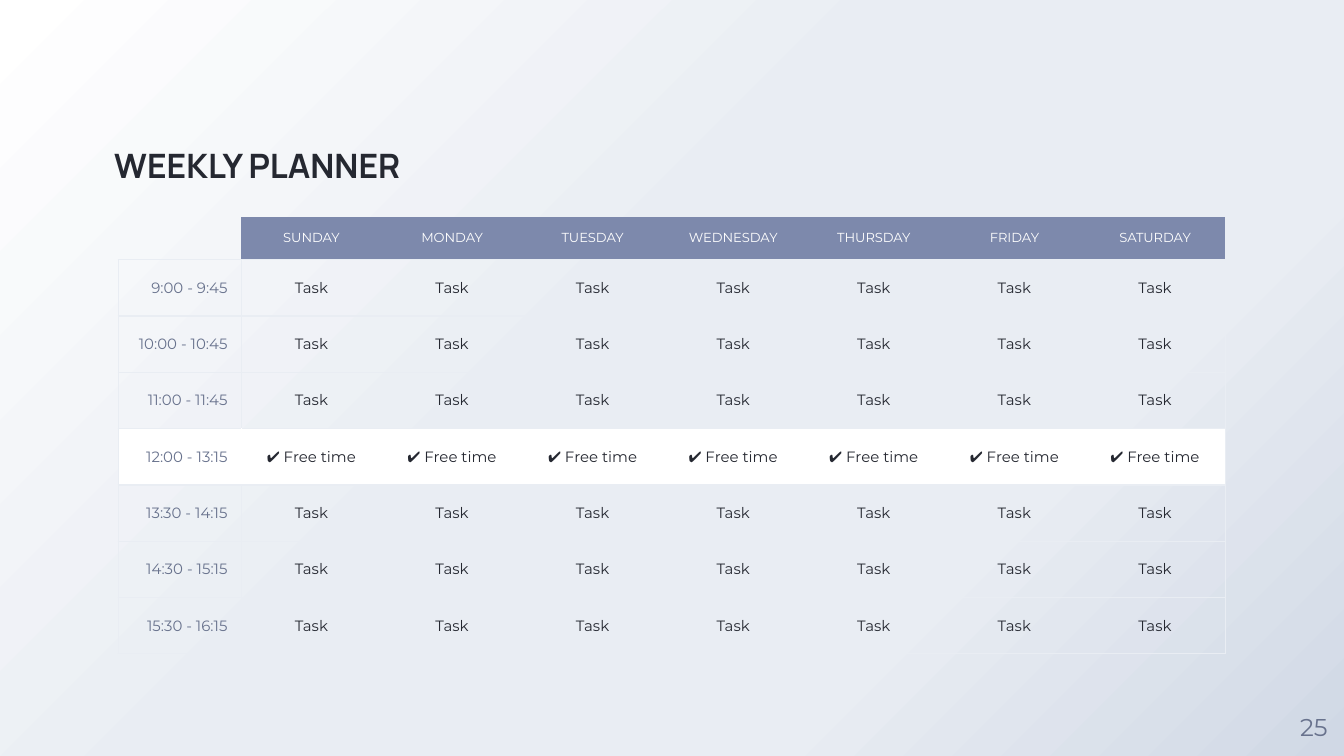
from lxml import etree
from pptx import Presentation
from pptx.dml.color import RGBColor
from pptx.enum.text import MSO_ANCHOR, MSO_AUTO_SIZE, PP_ALIGN
from pptx.oxml import parse_xml
from pptx.oxml.ns import qn
from pptx.util import Pt

LEFT, CENTER, RIGHT = PP_ALIGN.LEFT, PP_ALIGN.CENTER, PP_ALIGN.RIGHT
MIDDLE, BOTTOM = MSO_ANCHOR.MIDDLE, MSO_ANCHOR.BOTTOM
NO_AUTOFIT = MSO_AUTO_SIZE.NONE
NAMESPACE = "http://schemas.openxmlformats.org/drawingml/2006/main"

FREE_ACTIVITY = "✔ Free time"
DAYS = ["SUNDAY", "MONDAY", "TUESDAY", "WEDNESDAY", "THURSDAY", "FRIDAY", "SATURDAY"]
SCHEDULE = [
    ("9:00 - 9:45", "Task"),
    ("10:00 - 10:45", "Task"),
    ("11:00 - 11:45", "Task"),
    ("12:00 - 13:15", FREE_ACTIVITY),
    ("13:30 - 14:15", "Task"),
    ("14:30 - 15:15", "Task"),
    ("15:30 - 16:15", "Task"),
]


def color(value):
    return RGBColor.from_string(value)


class Planner:
    heading_font = "Manrope"
    body_font = "Montserrat"
    dark = "252831"
    muted = "68728D"
    header = "7D89AC"
    border = "E9EDF3"
    white = "FFFFFF"
    cell_margin = 7.2

    def __init__(self, slide):
        self.slide = slide

    def background(self, stops):
        stop_xml = "".join(
            f'<a:gs pos="{percent * 1000}"><a:srgbClr val="{value}"/></a:gs>'
            for percent, value in stops
        )
        fill = self.slide.background.fill
        fill.gradient()
        gradient = self.slide._element.find(".//" + qn("a:gradFill"))
        gradient.getparent().replace(gradient, parse_xml(
            f'<a:gradFill xmlns:a="{NAMESPACE}" rotWithShape="1"><a:gsLst>{stop_xml}</a:gsLst>'
            '<a:lin ang="2700000" scaled="0"/></a:gradFill>'
        ))

    def add_text(self, text_frame, text, size, font, value, alignment, bold=False):
        paragraph = text_frame.paragraphs[0]
        paragraph.alignment = alignment
        run = paragraph.add_run()
        run.text = text
        run.font.size = Pt(size)
        run.font.name = font
        run.font.bold = bold
        run.font.color.rgb = color(value)

    def frame(self, shape, anchor):
        text_frame = shape.text_frame
        text_frame.word_wrap = True
        text_frame.auto_size = NO_AUTOFIT
        text_frame.vertical_anchor = anchor
        text_frame.margin_left = text_frame.margin_right = 0
        text_frame.margin_top = text_frame.margin_bottom = 0
        return text_frame

    def title(self, text, left, top, width, height):
        shape = self.slide.shapes.title
        shape.left, shape.top = Pt(left), Pt(top)
        shape.width, shape.height = Pt(width), Pt(height)
        self.add_text(self.frame(shape, BOTTOM), text, 18, self.heading_font, self.dark, LEFT, True)

    def page_number(self, text, left, top, size):
        shape = self.slide.shapes.add_textbox(Pt(left), Pt(top), Pt(size), Pt(size))
        self.add_text(self.frame(shape, MIDDLE), text, 13, self.body_font, self.muted, CENTER)

    def table(self, rows, left, top, widths, heights):
        shape = self.slide.shapes.add_table(
            len(heights), len(widths), Pt(left), Pt(top), Pt(sum(widths)), Pt(sum(heights))
        )
        table = shape.table
        table.first_row = table.horz_banding = False
        for column, width in zip(table.columns, widths):
            column.width = Pt(width)
        for row, height in zip(table.rows, heights):
            row.height = Pt(height)
        for row_index, row in enumerate(rows):
            for column_index, text in enumerate(row):
                self.cell(table.cell(row_index, column_index), text, row_index == 0,
                          column_index, len(widths) - 1, FREE_ACTIVITY in row)

    def cell(self, cell, text, is_header, column, last_column, is_free):
        is_time = column == 0
        divider = self.white if is_free else self.border
        if is_header:
            borders = {"B": self.border}
        else:
            borders = {"T": self.border, "B": self.border}
            if is_time:
                borders.update(L=self.border, R=divider)
            elif column == 1:
                borders["L"] = divider
            elif column == last_column:
                borders["R"] = self.border
        self.borders(cell, borders)

        fill = self.header if is_header and not is_time else self.white if is_free else None
        if fill:
            cell.fill.solid()
            cell.fill.fore_color.rgb = color(fill)
        else:
            cell.fill.background()

        cell.vertical_anchor = MIDDLE
        cell.margin_left = cell.margin_right = Pt(self.cell_margin)
        cell.margin_top = cell.margin_bottom = Pt(self.cell_margin)
        value = self.white if is_header else self.muted if is_time else self.dark
        size = 7 if is_header else 8
        if text:
            self.add_text(cell.text_frame, text, size, self.body_font, value,
                          RIGHT if is_time else CENTER)
        else:
            cell.text_frame.paragraphs[0].font.size = Pt(size)

    def borders(self, cell, values):
        properties = cell._tc.get_or_add_tcPr()
        for side in "LRTB":
            line = etree.SubElement(properties, qn(f"a:ln{side}"), w=str(Pt(0.75)))
            if side in values:
                fill = etree.SubElement(line, qn("a:solidFill"))
                etree.SubElement(fill, qn("a:srgbClr"), val=values[side])
            else:
                etree.SubElement(line, qn("a:noFill"))


def main():
    presentation = Presentation()
    presentation.slide_width, presentation.slide_height = Pt(720), Pt(405)
    planner = Planner(presentation.slides.add_slide(presentation.slide_layouts[5]))
    planner.background([(0, "FFFFFF"), (44, "E9EDF3"), (72, "E9EDF3"), (100, "D0D8E5")])
    planner.title("WEEKLY PLANNER", 61.2, 31.7, 282.2, 67.7)
    planner.page_number("25", 687.6, 373, 32.4)
    rows = [["", *DAYS]] + [[time] + [activity] * len(DAYS) for time, activity in SCHEDULE]
    planner.table(rows, 63.4, 116.2, [65.8] + [75.33] * len(DAYS), [18.72] + [30.17] * len(SCHEDULE))
    presentation.save("out.pptx")


if __name__ == "__main__":
    main()
